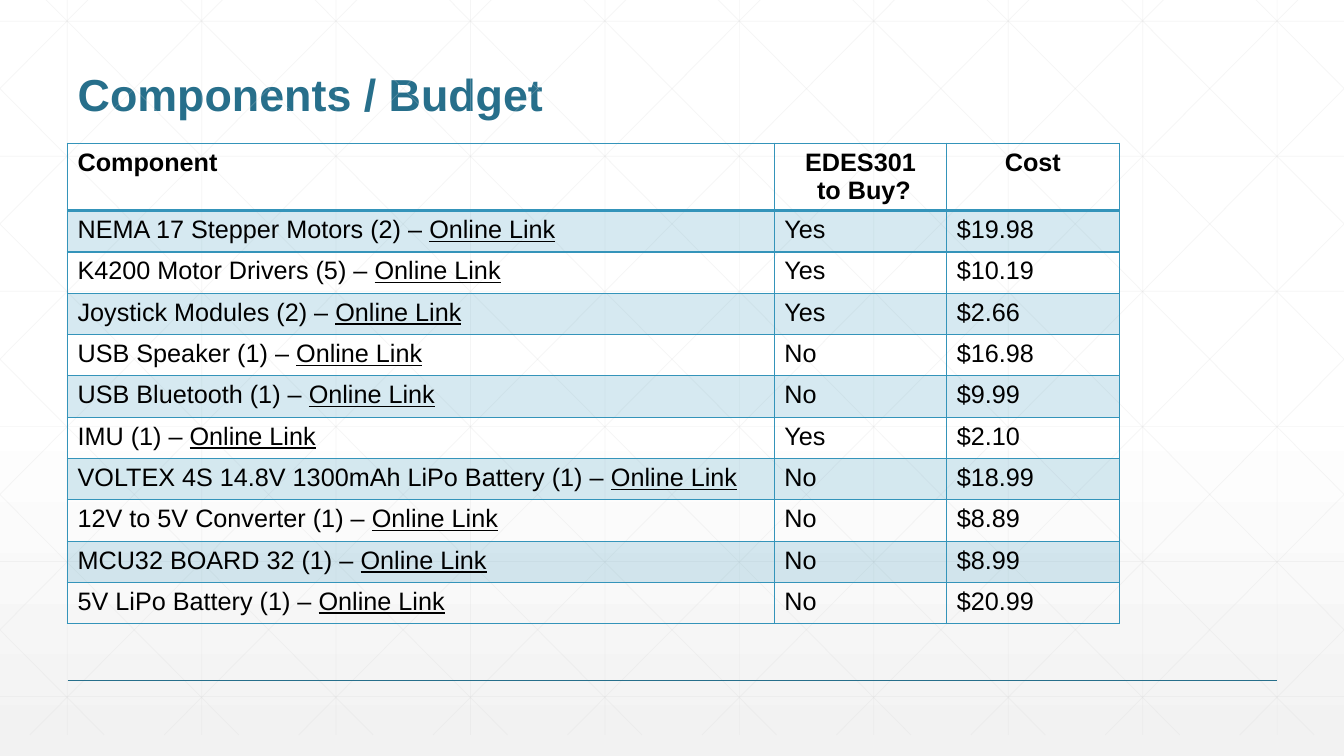
from copy import deepcopy
from dataclasses import dataclass

from lxml.etree import SubElement
from pptx import Presentation
from pptx.dml.color import RGBColor
from pptx.enum.shapes import MSO_CONNECTOR as Connector
from pptx.enum.text import MSO_ANCHOR as Anchor, PP_ALIGN as Align
from pptx.oxml.ns import qn
from pptx.slide import Slide
from pptx.table import _Cell as Cell
from pptx.util import Inches, Pt

WIDTH, HEIGHT = 13.33, 7.5
GRID_TOP, GRID_BOTTOM = -0.21, 7.29
GRID_STEP = 4 / 3
DIAGONAL_RUN = 7.45
TEAL, DARK_TEAL, GRID_GREY = "3494BA", "276F8B", "D9D9D9"
LINK_TEXT = "Online Link"
HEADERS = ["Component", "EDES301\n to Buy?", "Cost"]
COLUMN_WIDTHS = [7.01, 1.71, 1.71]
HEADER_HEIGHT, ROW_HEIGHT = 0.67, 0.41


@dataclass
class Line:
    x1: float
    y1: float
    x2: float
    y2: float
    colour: str = GRID_GREY
    weight: float = 0.5
    opacity: int = 25


@dataclass
class Component:
    name: str
    count: int
    buy: str
    cost: str


COMPONENTS = [
    Component("NEMA 17 Stepper Motors", 2, "Yes", "$19.98"),
    Component("K4200 Motor Drivers", 5, "Yes", "$10.19"),
    Component("Joystick Modules", 2, "Yes", "$2.66"),
    Component("USB Speaker", 1, "No", "$16.98"),
    Component("USB Bluetooth", 1, "No", "$9.99"),
    Component("IMU", 1, "Yes", "$2.10"),
    Component("VOLTEX 4S 14.8V 1300mAh LiPo Battery", 1, "No", "$18.99"),
    Component("12V to 5V Converter", 1, "No", "$8.89"),
    Component("MCU32 BOARD 32", 1, "No", "$8.99"),
    Component("5V LiPo Battery", 1, "No", "$20.99"),
]


def rgb(colour: str) -> RGBColor:
    return RGBColor.from_string(colour)


def set_opacity(solid_fill, percent: int) -> None:
    SubElement(solid_fill[0], qn("a:alpha"), val=str(percent * 1000))


def draw_line(page: Slide, line: Line) -> None:
    ends = (Inches(value) for value in (line.x1, line.y1, line.x2, line.y2))
    connector = page.shapes.add_connector(Connector.STRAIGHT, *ends)
    connector.line.color.rgb = rgb(line.colour)
    connector.line.width = Pt(line.weight)
    properties = connector._element.spPr
    SubElement(properties, qn("a:effectLst"))
    if line.opacity < 100:
        set_opacity(properties.find(f"{qn('a:ln')}/{qn('a:solidFill')}"), line.opacity)


def grid_lines() -> list[Line]:
    columns = [GRID_STEP * (i + 0.5) for i in range(10)]
    rows = [0.21 + 1.34 * i for i in range(6)]
    lines = [Line(x, GRID_TOP, x, GRID_BOTTOM) for x in columns]
    lines += [Line(0, y, WIDTH, y) for y in rows]
    slope = (GRID_BOTTOM - GRID_TOP) / DIAGONAL_RUN
    for i in range(-5, 10):
        start = 0.25 + GRID_STEP * i
        left, right = max(start, 0), min(start + DIAGONAL_RUN, WIDTH)
        upper, lower = (GRID_TOP + (x - start) * slope for x in (left, right))
        lines.append(Line(left, upper, right, lower))
        lines.append(Line(WIDTH - left, upper, WIDTH - right, lower))
    return lines


def paint_background(page: Slide) -> None:
    fill = page.background.fill
    fill.gradient()
    fill.gradient_angle = 270
    stop_list = page._element.find(f".//{qn('a:gsLst')}")
    stop_list.insert(1, deepcopy(stop_list[0]))
    stops = zip(fill.gradient_stops, (0, 0.53, 1), ("FFFFFF", "FFFFFF", "F2F2F2"))
    for stop, position, colour in stops:
        stop.position = position
        stop.color.rgb = rgb(colour)


def add_title(page: Slide, text: str) -> None:
    title = page.shapes.title
    title.left, title.top = Inches(0.67), Inches(0.25)
    title.width, title.height = Inches(12), Inches(1)
    title.text_frame.text = text
    title.text_frame.vertical_anchor = Anchor.BOTTOM
    para = title.text_frame.paragraphs[0]
    para.alignment = Align.LEFT
    para.line_spacing = 0.9
    para.font.name, para.font.size, para.font.bold = "Arial", Pt(32), True
    para.font.color.rgb = rgb(DARK_TEAL)


def set_borders(cell: Cell, bottom: float, top: float) -> None:
    properties = cell._tc.get_or_add_tcPr()
    for side, weight in (("L", 1), ("R", 1), ("T", top), ("B", bottom)):
        border = SubElement(properties, qn(f"a:ln{side}"), w=str(Pt(weight)))
        solid = SubElement(border, qn("a:solidFill"))
        SubElement(solid, qn("a:srgbClr"), val=TEAL)


def format_cell(cell: Cell, row: int, column: int) -> None:
    set_borders(cell, bottom=2 if row == 0 else 1, top=2 if row == 1 else 1)
    if row % 2:
        cell.fill.solid()
        cell.fill.fore_color.rgb = rgb(TEAL)
        set_opacity(cell._tc.tcPr.find(qn("a:solidFill")), 20)
    else:
        cell.fill.background()
    for para in cell.text_frame.paragraphs:
        para.alignment = Align.CENTER if row == 0 and column else Align.LEFT
        para.font.name, para.font.size = "Arial", Pt(18)
        para.font.bold = row == 0
        para.font.color.rgb = rgb("000000")


def add_budget(page: Slide) -> None:
    height = HEADER_HEIGHT + ROW_HEIGHT * len(COMPONENTS)
    table = page.shapes.add_table(
        len(COMPONENTS) + 1, len(HEADERS),
        Inches(0.67), Inches(1.42), Inches(sum(COLUMN_WIDTHS)), Inches(height),
    ).table
    table.first_row = table.horz_banding = False
    for column, width in zip(table.columns, COLUMN_WIDTHS):
        column.width = Inches(width)
    for index, row in enumerate(table.rows):
        row.height = Inches(ROW_HEIGHT if index else HEADER_HEIGHT)
    texts = [HEADERS]
    texts += [[f"{part.name} ({part.count}) – ", part.buy, part.cost] for part in COMPONENTS]
    for row, values in enumerate(texts):
        for column, text in enumerate(values):
            cell = table.cell(row, column)
            cell.text_frame.text = text
            if row and column == 0:
                span = cell.text_frame.paragraphs[0].add_run()
                span.text = LINK_TEXT
                span.font.underline = True
            format_cell(cell, row, column)


def main() -> None:
    deck = Presentation()
    deck.slide_width, deck.slide_height = Inches(WIDTH), Inches(HEIGHT)
    page = deck.slides.add_slide(deck.slide_layouts.get_by_name("Title Only"))
    paint_background(page)
    for line in grid_lines():
        draw_line(page, line)
    draw_line(page, Line(0.67, 6.75, 12.67, 6.75, DARK_TEAL, 1, 100))
    add_title(page, "Components / Budget")
    add_budget(page)
    deck.save("out.pptx")


if __name__ == "__main__":
    main()
